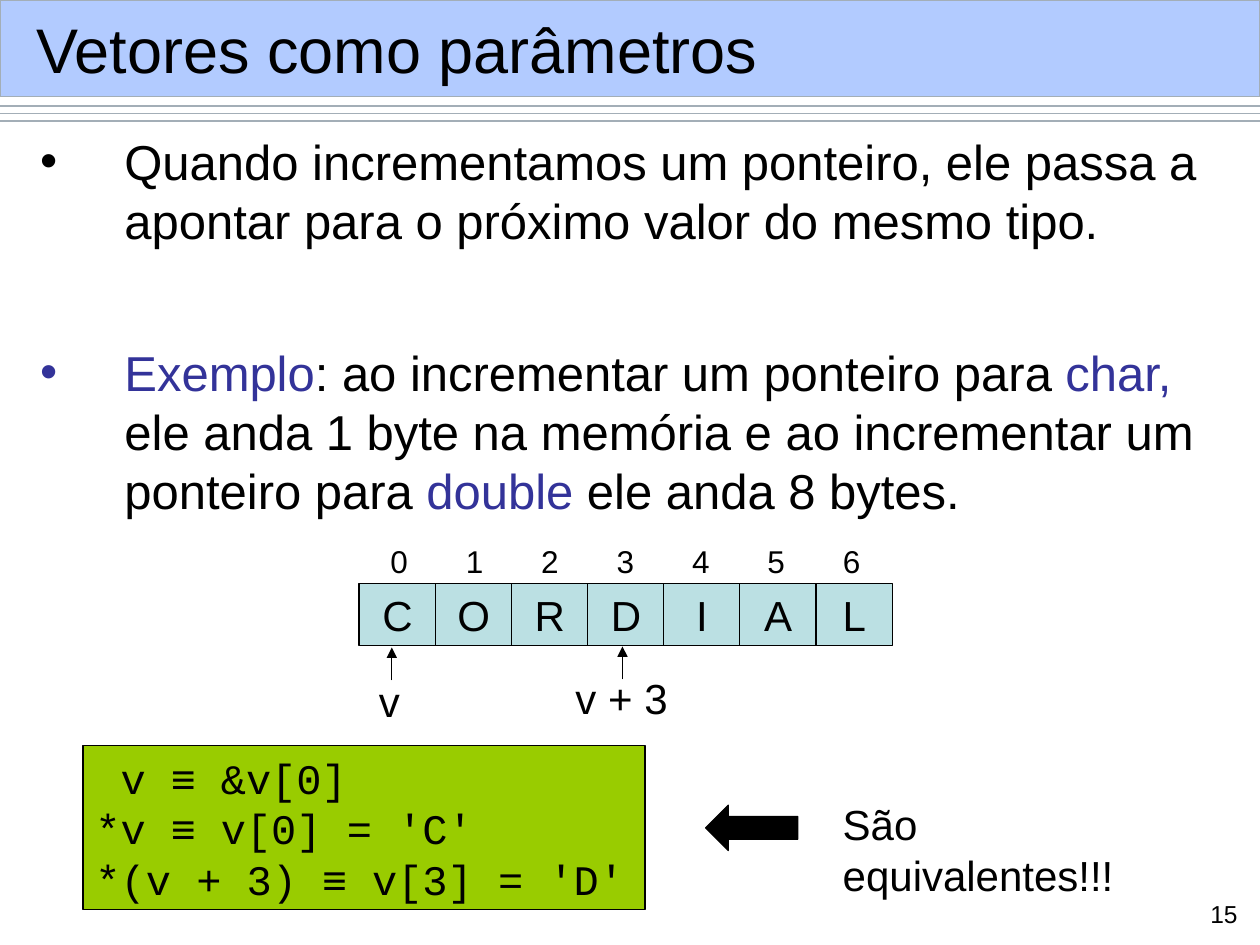
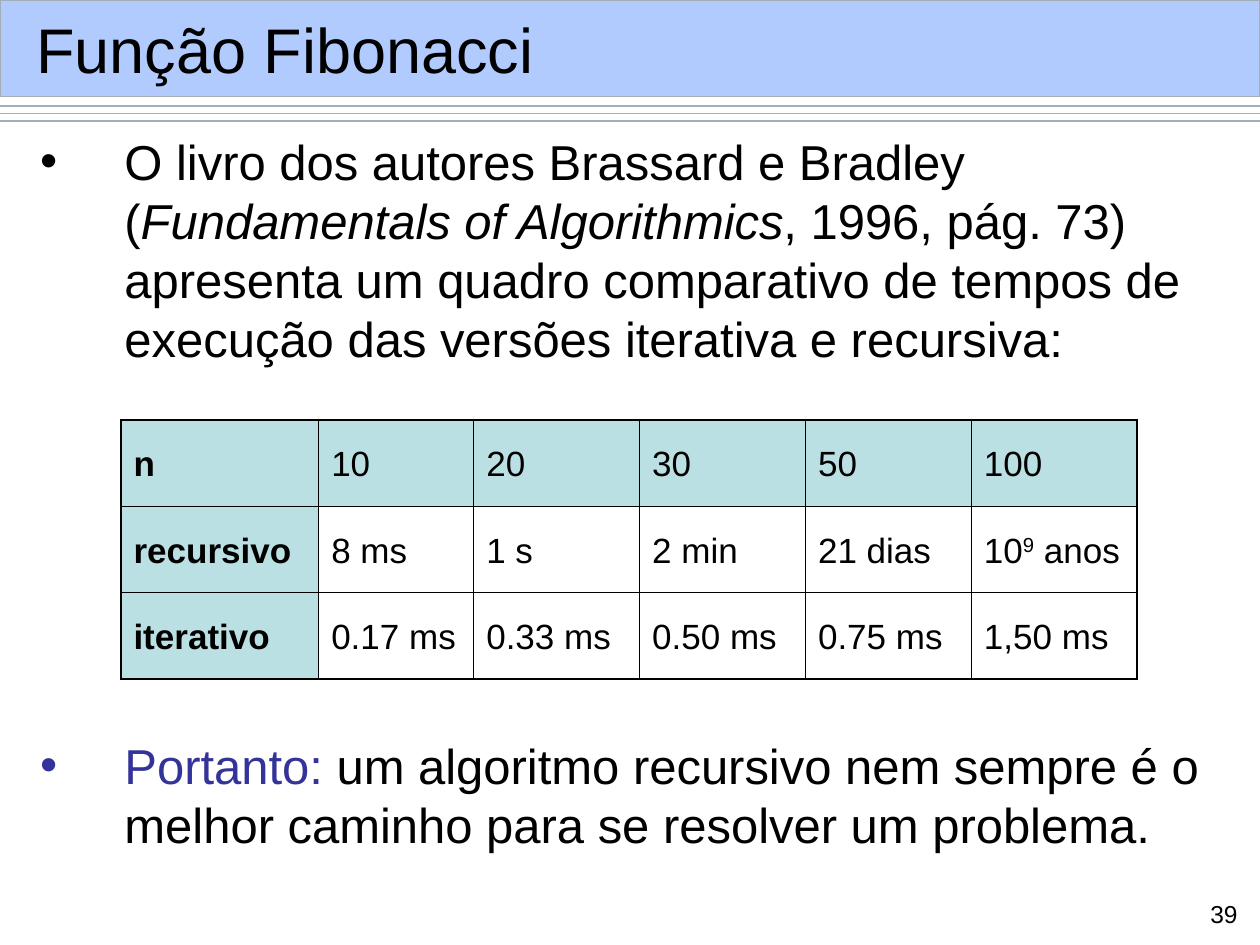
from dataclasses import dataclass, field
from typing import Any, NamedTuple, Optional

import lxml.etree
import pptx
import pptx.dml.color
import pptx.enum.shapes
import pptx.enum.text
import pptx.oxml
import pptx.oxml.ns
import pptx.util

Pt = pptx.util.Pt
Shape = pptx.enum.shapes.MSO_SHAPE
Align = pptx.enum.text.PP_ALIGN
Anchor = pptx.enum.text.MSO_ANCHOR
qn = pptx.oxml.ns.qn


@dataclass(frozen=True)
class Theme:
    ink: str = "000000"
    blue: str = "333399"
    band: str = "6699FF"
    rule: str = "A3AEB7"
    cell: str = "BBE0E3"
    code: str = "99CC00"
    sans: str = "Arial"
    mono: str = "Courier New"
    title: float = 36
    body: float = 28
    label: float = 24
    grid: float = 20
    index: float = 18
    page: float = 14
    pitch: float = 1.206
    thin: float = 0.45
    line: float = 0.75
    thick: float = 1.08


THEME = Theme()


class Box(NamedTuple):
    left: float
    top: float
    width: float
    height: float


class Run(NamedTuple):
    text: str
    color: str = THEME.ink
    font: str = THEME.sans
    bold: bool = False
    italic: bool = False
    lift: int = 0


@dataclass
class Para:
    runs: list[Run]
    gap: float = 0
    bullet: Optional[str] = None
    align: Any = Align.LEFT


@dataclass
class Label:
    text: str
    box: Box
    size: float
    form: dict[str, Any] = field(default_factory=lambda: {"word_wrap": False})
    align: Any = Align.LEFT


INSET = {
    "margin_left": Pt(7.2),
    "margin_right": Pt(7.2),
    "margin_top": Pt(3.6),
    "margin_bottom": Pt(3.6),
}
WRAP = {"word_wrap": True}
MIDDLE = {"vertical_anchor": Anchor.MIDDLE}


def apply(item: Any, form: dict[str, Any]) -> None:
    for key, value in form.items():
        setattr(item, key, value)


def tint(code: str) -> pptx.dml.color.RGBColor:
    return pptx.dml.color.RGBColor.from_string(code)


def place(box: Box) -> list[int]:
    return [Pt(side) for side in box]


def node(parent: Any, tag: str, **attrs: str) -> Any:
    return lxml.etree.SubElement(parent, qn(tag), attrs)


def write(frame: Any, paras: list[Para], size: float) -> None:
    for count, para in enumerate(paras):
        line = frame.add_paragraph() if count else frame.paragraphs[0]
        apply(line, {
            "alignment": para.align,
            "line_spacing": Pt(round(size * THEME.pitch, 1)),
            "space_before": Pt(para.gap),
        })
        if para.bullet:
            props = line._p.get_or_add_pPr()
            props.set("marL", str(Pt(48.24)))
            props.set("indent", str(Pt(-48.24)))
            node(node(props, "a:buClr"), "a:srgbClr", val=para.bullet)
            node(props, "a:buFont", typeface=THEME.sans)
            node(props, "a:buChar", char="•")
        for part in para.runs:
            run = line.add_run()
            run.text = part.text
            apply(run.font, {
                "size": Pt(size), "name": part.font,
                "bold": part.bold, "italic": part.italic,
            })
            run.font.color.rgb = tint(part.color)
            if part.lift:
                run._r.get_or_add_rPr().set("baseline", str(part.lift * 1000))


def text(slide: Any, box: Box, paras: list[Para], size: float,
         form: dict[str, Any]) -> None:
    frame = slide.shapes.add_textbox(*place(box)).text_frame
    apply(frame, INSET | form)
    write(frame, paras, size)


def label(slide: Any, item: Label) -> None:
    para = Para([Run(item.text)], align=item.align)
    text(slide, item.box, [para], item.size, item.form)


def block(slide: Any, kind: Any, box: Box, fill: str,
          edge: str = THEME.ink) -> Any:
    shape = slide.shapes.add_shape(kind, *place(box))
    shape.shadow.inherit = False
    shape.fill.solid()
    shape.fill.fore_color.rgb = tint(fill)
    shape.line.color.rgb = tint(edge)
    shape.line.width = Pt(THEME.line)
    apply(shape.text_frame, INSET)
    return shape


def stroke(slide: Any, start: tuple[float, float], end: tuple[float, float],
           color: str, arrow: bool = False) -> None:
    link = slide.shapes.add_connector(
        pptx.enum.shapes.MSO_CONNECTOR.STRAIGHT,
        *(Pt(side) for side in start + end))
    link.line.color.rgb = tint(color)
    link.line.width = Pt(THEME.line)
    if arrow:
        node(link.line._get_or_add_ln(), "a:tailEnd", type="triangle")
    node(link._element.spPr, "a:effectLst")


def base(deck: Any, title: str, page: int) -> Any:
    slide = deck.slides.add_slide(deck.slide_layouts[6])
    for top in (60.5, 64.8, 69.1):
        stroke(slide, (0, top), (720, top), THEME.rule)
    band = block(slide, Shape.RECTANGLE, Box(0, 0, 720, 55.4),
                 THEME.band, THEME.rule)
    color = band._element.spPr.find(qn("a:solidFill"))[0]
    node(color, "a:alpha", val="50000")
    label(slide, Label(title, Box(13.7, 6.5, 694, 42.5), THEME.title,
                       WRAP | MIDDLE))
    label(slide, Label(str(page), Box(679.7, 509.8, 34.6, 20.9), THEME.page,
                       WRAP, Align.RIGHT))
    return slide


def body(slide: Any, width: float, paras: list[Para]) -> None:
    text(slide, Box(15.8, 71.3, width, 449.3), paras, THEME.body, WRAP)


def vector(deck: Any) -> None:
    slide = base(deck, "Vetores como parâmetros", 15)
    body(slide, 697, [
        Para([Run("Quando incrementamos um ponteiro, ele passa a apontar "
                  "para o próximo valor do mesmo tipo.")], bullet=THEME.ink),
        Para([
            Run("Exemplo", THEME.blue),
            Run(": ao incrementar um ponteiro para "),
            Run("char,", THEME.blue),
            Run(" ele anda 1 byte na memória e ao incrementar um ponteiro para "),
            Run("double", THEME.blue),
            Run(" ele anda 8 bytes."),
        ], gap=53, bullet=THEME.blue),
    ])
    for spot, letter in enumerate("CORDIAL"):
        cell = block(slide, Shape.RECTANGLE,
                     Box(205.2 + 43.5 * spot, 333.4, 43.9, 35.3), THEME.cell)
        apply(cell.text_frame, MIDDLE | {"word_wrap": False})
        write(cell.text_frame, [Para([Run(letter)], align=Align.CENTER)],
              THEME.label)
        label(slide, Label(str(spot), Box(216 + 43.1 * spot, 306, 24.5, 28.8),
                           THEME.index))
    for left, top in ((223.9, 370), (355.7, 369.4)):
        stroke(slide, (left, top + 18.8), (left, top), THEME.ink, True)
    for item in (
        Label("v", Box(209.5, 382.3, 25.9, 36), THEME.label),
        Label("v + 3", Box(321.8, 380.9, 67, 36), THEME.label),
        Label("São equivalentes!!!", Box(474.5, 452.9, 218.2, 36), THEME.label),
    ):
        label(slide, item)
    code = block(slide, Shape.RECTANGLE, Box(47.5, 426.2, 321.1, 93.6),
                 THEME.code)
    apply(code.text_frame, {"word_wrap": False, "vertical_anchor": Anchor.TOP})
    pairs = ((" v ", " &v[0]"), ("*v ", " v[0] = 'C'"),
             ("*(v + 3) ", " v[3] = 'D'"))
    write(code.text_frame, [
        Para([Run(left, font=THEME.mono), Run("≡"),
              Run(right, font=THEME.mono)])
        for left, right in pairs
    ], THEME.label)
    arrow = block(slide, Shape.RIGHT_ARROW, Box(403.2, 460.1, 52.6, 25.9),
                  THEME.ink)
    arrow.rotation = 180


def border(cell: Any, widths: dict[str, float]) -> None:
    props = cell._tc.get_or_add_tcPr()
    for side, width in widths.items():
        line = node(props, "a:ln" + side, w=str(Pt(width)))
        node(node(line, "a:solidFill"), "a:srgbClr", val=THEME.ink)


def table(slide: Any, rows: list[list[list[Run]]], wides: list[float]) -> None:
    high = 49.4
    box = Box(69.1, 239.8, sum(wides), high * len(rows))
    grid = slide.shapes.add_table(len(rows), len(wides), *place(box)).table
    apply(grid, {"first_row": False, "horz_banding": False})
    for col, wide in zip(grid.columns, wides):
        col.width = Pt(wide)
    for y, row in enumerate(rows):
        grid.rows[y].height = Pt(high)
        for x, runs in enumerate(row):
            cell = grid.cell(y, x)
            apply(cell, INSET | MIDDLE)
            edges = {"L": x == 0, "R": x == len(wides) - 1,
                     "T": y == 0, "B": y == len(rows) - 1}
            border(cell, {side: THEME.thick if outer else THEME.thin
                          for side, outer in edges.items()})
            if x and y:
                cell.fill.background()
            else:
                cell.fill.solid()
                cell.fill.fore_color.rgb = tint(THEME.cell)
            write(cell.text_frame, [Para(runs)], THEME.grid)


def series(deck: Any) -> None:
    slide = base(deck, "Função Fibonacci", 39)
    body(slide, 683.3, [
        Para([
            Run("O livro dos autores Brassard e Bradley ("),
            Run("Fundamentals of Algorithmics", italic=True),
            Run(", 1996, pág. 73) apresenta um quadro comparativo de tempos "
                "de execução das versões iterativa e recursiva:"),
        ], bullet=THEME.ink),
        Para([
            Run("Portanto:", THEME.blue),
            Run(" um algoritmo recursivo nem sempre é o melhor caminho para "
                "se resolver um problema."),
        ], gap=210, bullet=THEME.blue),
    ])
    data = [
        ["n", "10", "20", "30", "50", "100"],
        ["recursivo", "8 ms", "1 s", "2 min", "21 dias", ""],
        ["iterativo", "0.17 ms", "0.33 ms", "0.50 ms", "0.75 ms", "1,50 ms"],
    ]
    rows = [[[Run(word, bold=x == 0)] for x, word in enumerate(row)]
            for row in data]
    rows[1][5] = [Run("10"), Run("9", lift=30), Run(" anos")]
    table(slide, rows, [113, 88.6] + [94.8] * 4)


def main() -> None:
    deck = pptx.Presentation()
    apply(deck, {"slide_width": Pt(720), "slide_height": Pt(540)})
    vector(deck)
    series(deck)
    deck.save("out.pptx")


if __name__ == "__main__":
    main()
